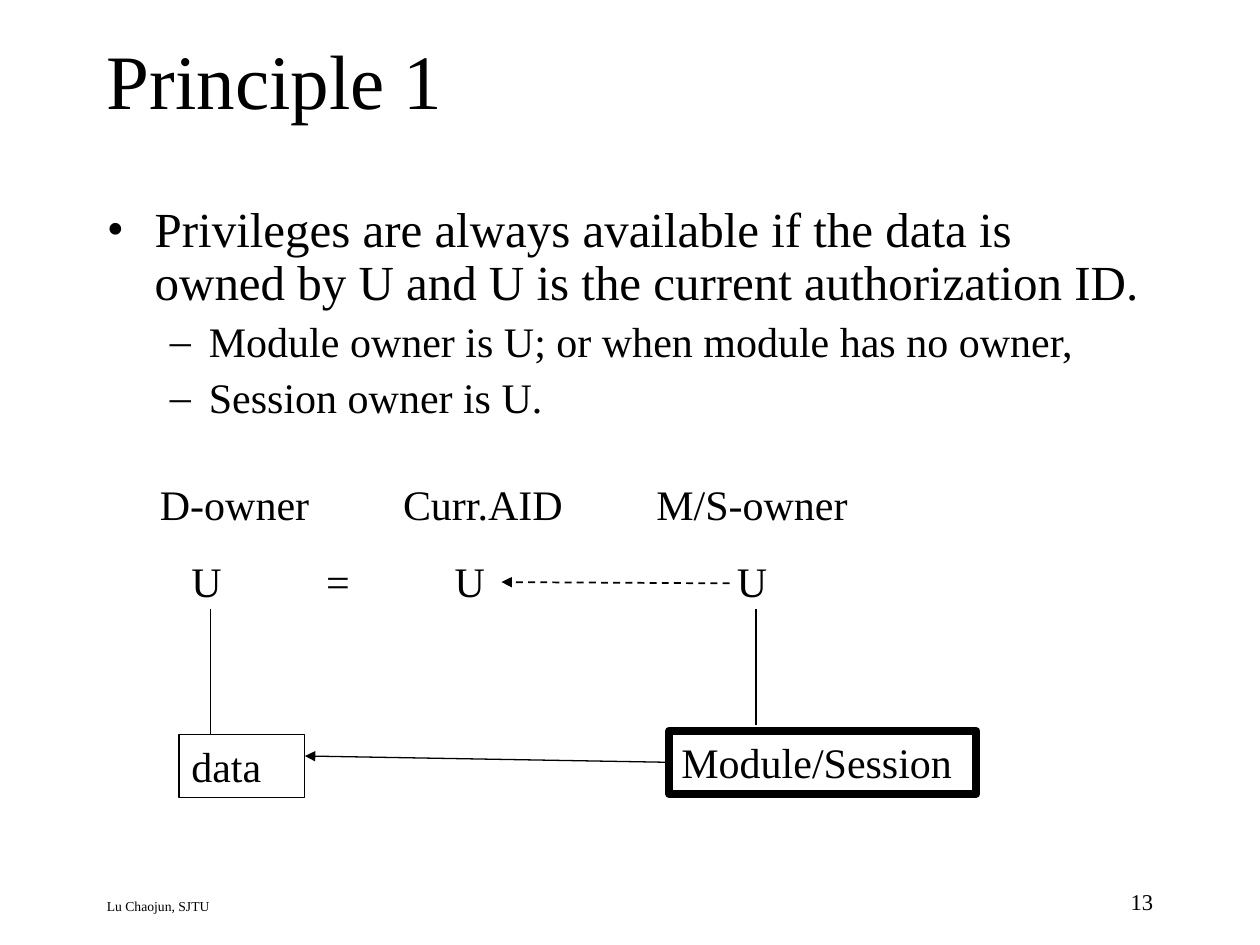
from lxml.etree import SubElement as Sub
from pptx import Presentation
from pptx.dml.color import RGBColor
from pptx.enum.dml import MSO_LINE_DASH_STYLE as Dash
from pptx.enum.shapes import MSO_CONNECTOR as Conn, MSO_SHAPE as Shape
from pptx.enum.text import MSO_ANCHOR as Anchor, MSO_AUTO_SIZE as Fit, PP_ALIGN as Align
from pptx.oxml.ns import qn
from pptx.util import Inches, Pt

BLACK = RGBColor(0, 0, 0)
FONT = "Times New Roman"
POINTS = [
    (0, "Privileges are always available if the data is owned by U "
        "and U is the current authorization ID."),
    (1, "Module owner is U; or when module has no owner,"),
    (1, "Session owner is U."),
]
# per level: bullet, text indent, hanging indent, size, space before
LEVELS = [("•", 0.38, -0.38, 28, 0), ("–", 0.81, -0.31, 24, 6)]
ROWS = [
    ("D-owner\tCurr.AID\tM/S-owner", (1.93, 3.94), 0),
    ("\tU\t=\tU\tU", (0.25, 1.32, 2.34, 4.58), 15),
]


def assign(obj, values):
    for name, value in values.items():
        setattr(obj, name, value)


class Board:
    def __init__(self, slide):
        self.slide = slide

    def text(self, box, words="", size=24, align=Align.LEFT, **frame):
        """Add a text box, filling its first paragraph if words are given."""
        item = self.slide.shapes.add_textbox(*map(Inches, box))
        tf = item.text_frame
        assign(tf, {"word_wrap": True, **frame})
        if words:
            self.fill(tf.paragraphs[0], words, size, alignment=align)
        return tf

    def fill(self, para, words, size, **form):
        """Put styled words into a paragraph."""
        para.add_run().text = words
        assign(para, form)
        for font in (para.font, para.runs[0].font):
            assign(font, {"name": FONT, "size": Pt(size)})
            font.color.rgb = BLACK

    def points(self, box, items):
        tf = self.text(box)
        for i, (level, words) in enumerate(items):
            mark, left, hang, size, gap = LEVELS[level]
            para = tf.add_paragraph() if i else tf.paragraphs[0]
            props = para._p.get_or_add_pPr()
            props.set("marL", str(Inches(left)))
            props.set("indent", str(Inches(hang)))
            Sub(props, qn("a:buFont"), typeface=FONT)
            Sub(props, qn("a:buChar"), char=mark)
            self.fill(para, words, size, level=level, line_spacing=0.9,
                      space_before=Pt(gap))

    def rows(self, box, items):
        """Add lines of words set at their own tab stops."""
        tf = self.text(box, auto_size=Fit.SHAPE_TO_FIT_TEXT)
        for i, (words, stops, gap) in enumerate(items):
            para = tf.add_paragraph() if i else tf.paragraphs[0]
            tabs = Sub(para._p.get_or_add_pPr(), qn("a:tabLst"))
            for stop in stops:
                Sub(tabs, qn("a:tab"), pos=str(Inches(stop)), algn="l")
            self.fill(para, words, 24, space_before=Pt(gap))

    def rect(self, box, words, width):
        item = self.slide.shapes.add_shape(Shape.RECTANGLE, *map(Inches, box))
        item.shadow.inherit = False
        item.fill.background()
        item.line.color.rgb = BLACK
        item.line.width = Pt(width)
        tf = item.text_frame
        assign(tf, {"word_wrap": True, "vertical_anchor": Anchor.TOP,
                    "auto_size": Fit.SHAPE_TO_FIT_TEXT})
        self.fill(tf.paragraphs[0], words, 24, alignment=Align.LEFT)
        return item

    def line(self, start, end, width=0.75, dash=None, arrow=False):
        link = self.slide.shapes.add_connector(
            Conn.STRAIGHT, *map(Inches, start + end))
        link.line.color.rgb = BLACK
        assign(link.line, {"width": Pt(width), "dash_style": dash})
        if arrow:
            Sub(link.line._get_or_add_ln(), qn("a:tailEnd"), type="triangle")
        Sub(link._element.spPr, qn("a:effectLst"))
        return link


def main():
    prs = Presentation()
    assign(prs, {"slide_width": Inches(10), "slide_height": Inches(7.5)})
    board = Board(prs.slides.add_slide(prs.slide_layouts[6]))

    board.text((0.75, 7.08, 5.8, 0.25), "Lu Chaojun, SJTU", 7.8)
    board.text((7.17, 7, 2.08, 0.33), "13", 12.9, Align.RIGHT)
    board.text((0.75, 0, 8.5, 1.25), "Principle 1", 44,
               vertical_anchor=Anchor.MIDDLE)
    board.points((0.75, 1.58, 8.5, 1.92), POINTS)
    board.rows((1.17, 3.75, 8.25, 1.11), ROWS)

    board.rect((1.42, 5.83, 1, 0.5), "data", 0.75)
    board.line((1.67, 4.83), (1.67, 5.83))
    use = board.line((5.31, 6.05), (2.42, 6), arrow=True)
    module = board.rect((5.31, 5.8, 2.44, 0.5), "Module/Session", 4.5)
    use.begin_connect(module, 1)
    board.line((6, 4.83), (6, 5.75))
    board.line((5.79, 4.63), (3.98, 4.62), 1, Dash.DASH, True)

    prs.save("out.pptx")


if __name__ == "__main__":
    main()
